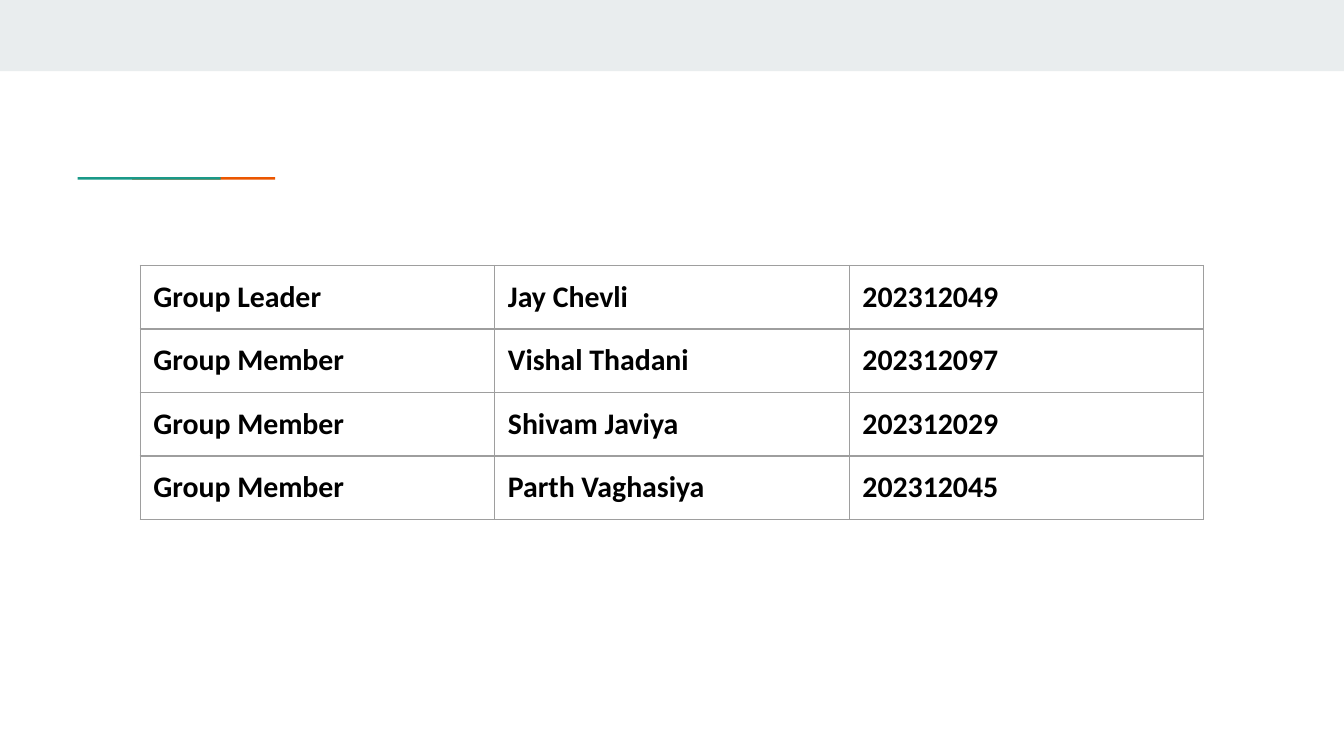
"""Build a slide with a table of group members."""
from lxml.etree import SubElement
from pptx import Presentation
from pptx.dml.color import RGBColor
from pptx.enum.shapes import MSO_SHAPE
from pptx.oxml.ns import qn
from pptx.util import Cm, Pt

COLORS = {"band": "E9EDEE", "green": "1A9988", "orange": "EB5600",
          "border": "9E9E9E", "text": "000000"}
BARS = [
    ("band", 12.7, 0.67, 25.4, 1.35, 0),
    ("orange", 3.85, 3.37, 0.05, 2.7, 270),
    ("green", 2.82, 3.37, 0.05, 2.7, 270),
]
MEMBERS = [
    ("Group Leader", "Jay Chevli", "202312049"),
    ("Group Member", "Vishal Thadani", "202312097"),
    ("Group Member", "Shivam Javiya", "202312029"),
    ("Group Member", "Parth Vaghasiya", "202312045"),
]
TABLE_LEFT, TABLE_TOP = 2.65, 5.02
COL_WIDTH, ROW_HEIGHT = 6.7, 1.2
CELL_MARGIN = Cm(0.25)


def add_bar(slide, color, center_x, center_y, width, height, rotation):
    sp = slide.shapes.add_shape(MSO_SHAPE.RECTANGLE, Cm(center_x - width / 2),
                                Cm(center_y - height / 2), Cm(width), Cm(height))
    sp.rotation = rotation
    sp.shadow.inherit = False
    sp.fill.solid()
    sp.fill.fore_color.rgb = RGBColor.from_string(COLORS[color])
    sp.line.fill.background()


def set_borders(cell):
    tc_pr = cell._tc.get_or_add_tcPr()
    for side in ("a:lnL", "a:lnR", "a:lnT", "a:lnB"):
        ln = SubElement(tc_pr, qn(side), w=str(Pt(0.75)))
        fill = SubElement(ln, qn("a:solidFill"))
        SubElement(fill, qn("a:srgbClr"), val=COLORS["border"])


def fill_cell(cell, text):
    cell.margin_left = cell.margin_right = CELL_MARGIN
    cell.margin_top = cell.margin_bottom = CELL_MARGIN
    set_borders(cell)
    cell.fill.background()
    r = cell.text_frame.paragraphs[0].add_run()
    r.text = text
    r.font.name = "Calibri"
    r.font.size = Pt(16)
    r.font.bold = True
    r.font.color.rgb = RGBColor.from_string(COLORS["text"])


def add_members(slide):
    rows, cols = len(MEMBERS), len(MEMBERS[0])
    table = slide.shapes.add_table(rows, cols, Cm(TABLE_LEFT), Cm(TABLE_TOP),
                                   Cm(cols * COL_WIDTH), Cm(rows * ROW_HEIGHT)).table
    table.first_row = table.horz_banding = False
    for i, member in enumerate(MEMBERS):
        for j, text in enumerate(member):
            fill_cell(table.cell(i, j), text)


def main():
    prs = Presentation()
    prs.slide_width, prs.slide_height = Cm(25.4), Cm(14.29)
    s = prs.slides.add_slide(prs.slide_layouts[6])
    for bar in BARS:
        add_bar(s, *bar)
    add_members(s)
    prs.save("out.pptx")


if __name__ == "__main__":
    main()
